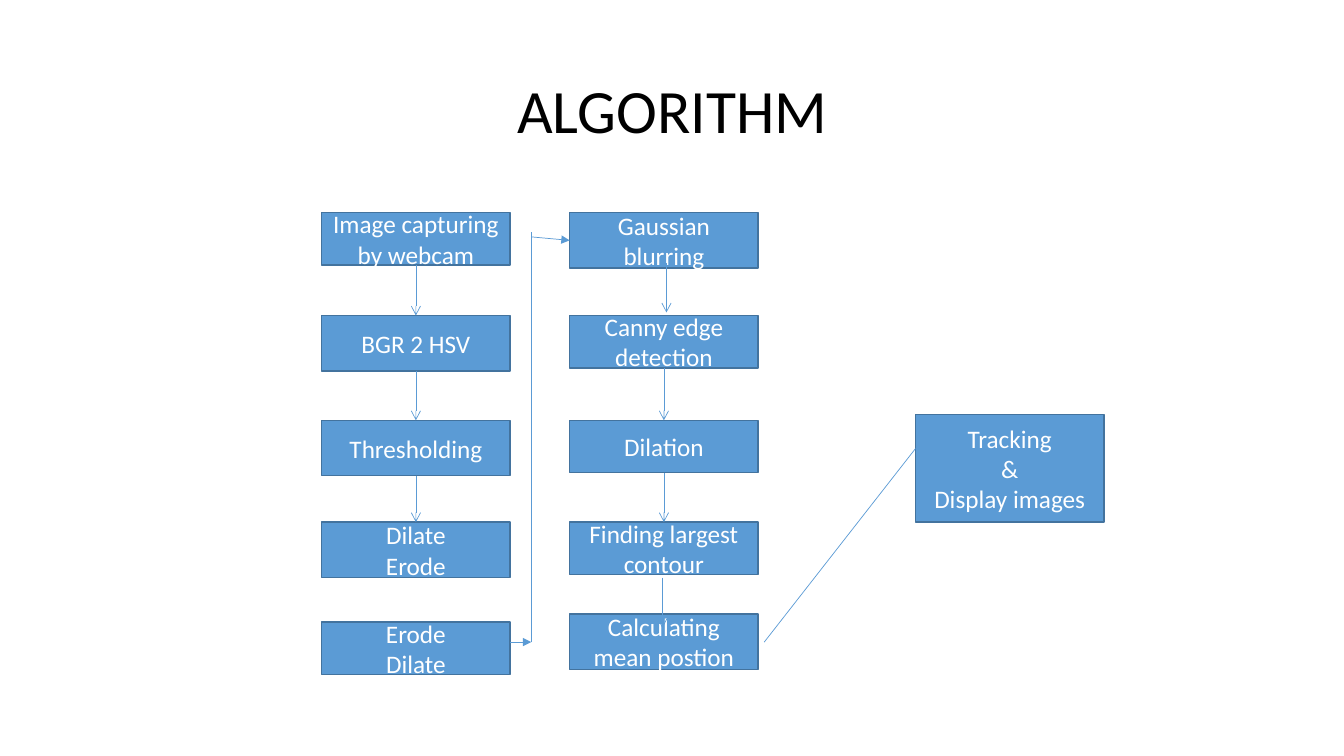
import pptx
import pptx.dml.color
import pptx.enum.shapes
import pptx.enum.text
import pptx.oxml
import pptx.oxml.ns
import pptx.util

PX = 9144  # EMU per px, 100 px to the inch
FONT = "Calibri"
COLOURS = {"title": "000000", "fill": "5B9BD5", "edge": "43739E",
           "arrow": "5B9BD5", "label": "FFFFFF"}
TOP, LEFT, BOTTOM = 0, 1, 2
STEP_WIDTH = 187
CAPTURE_X, CONTOUR_X, TRACKING_X = 319, 565, 908

# key: (left, top, height, lines of text)
STEPS = {
    "capture": (CAPTURE_X, 211, 52, ["Image capturing by webcam"]),
    "hsv": (CAPTURE_X, 313, 55, ["BGR 2 HSV"]),
    "threshold": (CAPTURE_X, 417, 55, ["Thresholding"]),
    "dilate_erode": (CAPTURE_X, 518, 55, ["Dilate", "Erode"]),
    "erode_dilate": (CAPTURE_X, 617, 52, ["Erode", "Dilate"]),
    "blur": (CONTOUR_X, 211, 55, ["Gaussian blurring"]),
    "canny": (CONTOUR_X, 313, 52, ["Canny edge detection"]),
    "dilation": (CONTOUR_X, 417, 52, ["Dilation"]),
    "contour": (CONTOUR_X, 518, 52, ["Finding largest contour"]),
    "mean": (CONTOUR_X, 609, 55, ["Calculating mean postion"]),
    "tracking": (TRACKING_X, 411, 107, ["Tracking", "&", "Display images"]),
}
JOINED_STEPS = [("capture", "hsv"), ("hsv", "threshold"),
                ("threshold", "dilate_erode"),
                ("canny", "dilation"), ("dilation", "contour")]
# start, end, arrowhead
FREE_LINES = [
    ((661, 261), (661, 310), "arrow"),
    ((657, 573), (657, 623), "arrow"),
    ((506, 637), (527, 637), "triangle"),
    ((527, 637), (527, 230), None),
    ((758, 637), (908, 445), None),
]


def px(*lengths):
    return [pptx.util.Emu(length * PX) for length in lengths]


def rgb(name):
    return pptx.dml.color.RGBColor.from_string(COLOURS[name])


def write_lines(frame, lines, size, colour, spacing=None):
    """Fill a text frame with centred lines, one paragraph each."""
    frame.word_wrap = True
    frame.vertical_anchor = pptx.enum.text.MSO_ANCHOR.MIDDLE
    for number, line in enumerate(lines):
        paragraph = frame.add_paragraph() if number else frame.paragraphs[0]
        paragraph.alignment = pptx.enum.text.PP_ALIGN.CENTER
        paragraph.line_spacing = spacing
        run = paragraph.add_run()
        run.text = line
        run.font.name = FONT
        run.font.size = pptx.util.Pt(size)
        run.font.color.rgb = rgb(colour)


def add_title(slide, text):
    title = slide.shapes.add_textbox(*px(92, 40, 1150, 145))
    write_lines(title.text_frame, [text], 44, "title", 0.9)


def add_step(slide, left, top, height, lines):
    step = slide.shapes.add_shape(pptx.enum.shapes.MSO_SHAPE.RECTANGLE,
                                  *px(left, top, STEP_WIDTH, height))
    step.shadow.inherit = False
    step.fill.solid()
    step.fill.fore_color.rgb = rgb("fill")
    step.line.color.rgb = rgb("edge")
    step.line.width = pptx.util.Pt(1)
    write_lines(step.text_frame, lines, 18, "label")
    return step


def add_line(slide, start=(0, 0), end=(0, 0), head=None):
    line = slide.shapes.add_connector(
        pptx.enum.shapes.MSO_CONNECTOR.STRAIGHT, *px(*start, *end))
    line.line.color.rgb = rgb("arrow")
    line.line.width = pptx.util.Pt(0.5)
    if head:
        tail_end = pptx.oxml.parse_xml(
            f'<a:tailEnd {pptx.oxml.ns.nsdecls("a")} type="{head}"/>')
        line.line._get_or_add_ln().append(tail_end)
    line._element.spPr.append(
        pptx.oxml.parse_xml(f'<a:effectLst {pptx.oxml.ns.nsdecls("a")}/>'))
    return line


def main():
    deck = pptx.Presentation()
    deck.slide_width, deck.slide_height = px(1333, 750)
    slide = deck.slides.add_slide(deck.slide_layouts[6])

    add_title(slide, "ALGORITHM")
    steps = {key: add_step(slide, *step) for key, step in STEPS.items()}

    for upper, lower in JOINED_STEPS:
        arrow = add_line(slide, head="arrow")
        arrow.begin_connect(steps[upper], BOTTOM)
        arrow.end_connect(steps[lower], TOP)
    for start, end, head in FREE_LINES:
        add_line(slide, start, end, head)
    into_blur = add_line(slide, (527, 235), (565, 239), "triangle")
    into_blur.end_connect(steps["blur"], LEFT)

    deck.save("out.pptx")


if __name__ == "__main__":
    main()
